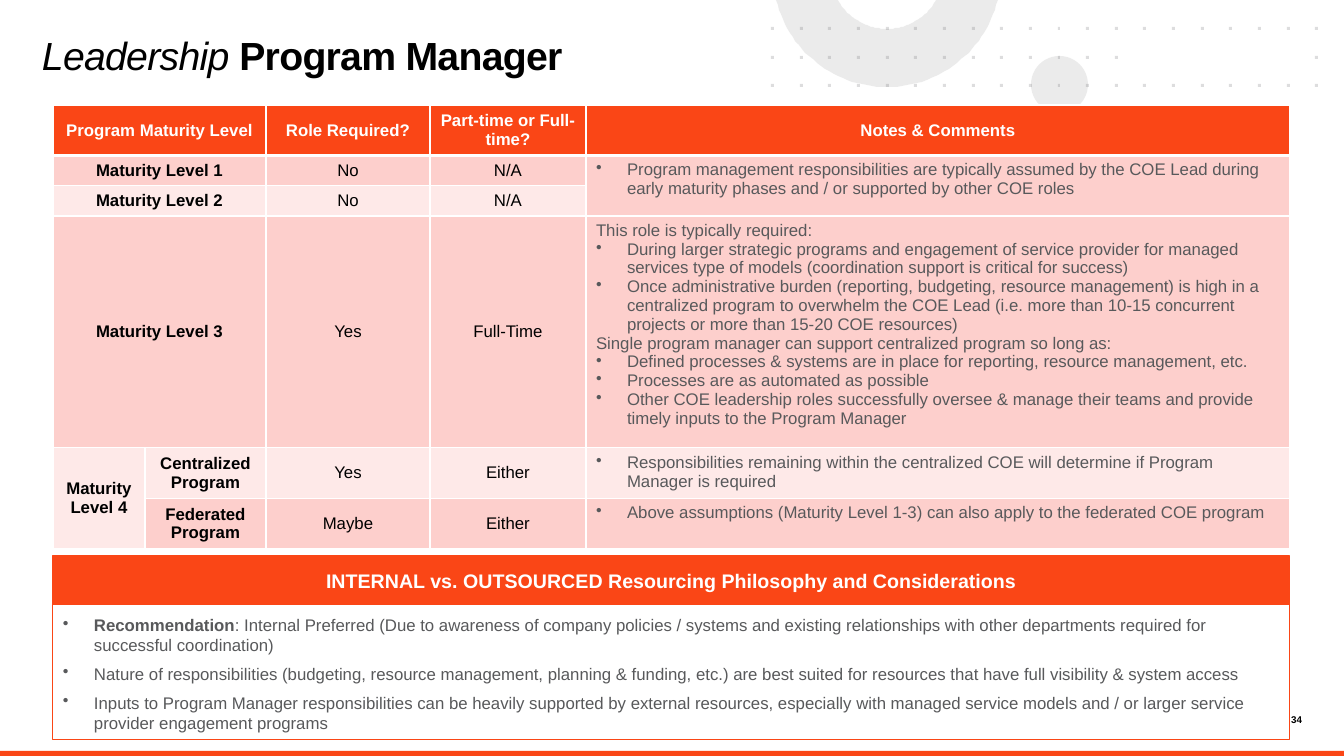
from math import acos, cos, pi, sin

from lxml.etree import SubElement
from pptx import Presentation
from pptx.dml.color import RGBColor
from pptx.enum.shapes import MSO_SHAPE
from pptx.enum.text import MSO_ANCHOR, PP_ALIGN
from pptx.oxml.ns import qn
from pptx.util import Emu, Pt

PX = 914400 / 100.8
ORANGE = RGBColor(0xFA, 0x46, 0x16)
ROSE = RGBColor(0xFD, 0xCF, 0xCC)
PALE_ROSE = RGBColor(0xFE, 0xE9, 0xE8)
WHITE = RGBColor(0xFF, 0xFF, 0xFF)
BLACK = RGBColor(0, 0, 0)
GRAY = RGBColor(0x58, 0x59, 0x5B)
LIGHT_GRAY = RGBColor(0xD9, 0xD9, 0xD9)

COLUMNS = [92, 121, 164, 156, 704]
ROWS = [47, 28, 29, 217, 48, 48]
ROW_FILLS = [ORANGE, ROSE, PALE_ROSE, ROSE, PALE_ROSE, ROSE]
MERGES = [((0, 0), (0, 1)), ((1, 0), (1, 1)), ((2, 0), (2, 1)), ((3, 0), (3, 1)),
          ((4, 0), (5, 0)), ((1, 4), (2, 4))]
LABELS = [
    ["Program Maturity Level", "", "Role Required?", "Part-time or Full-time?", "Notes & Comments"],
    ["Maturity Level 1", "", "No", "N/A"],
    ["Maturity Level 2", "", "No", "N/A"],
    ["Maturity Level 3", "", "Yes", "Full-Time"],
    ["Maturity Level 4", "Centralized Program", "Yes", "Either"],
    ["", "Federated Program", "Maybe", "Either"],
]
# A leading "• " marks a bulleted paragraph.
NOTES = {
    1: ["• Program management responsibilities are typically assumed by the COE Lead during early "
        "maturity phases and / or supported by other COE roles"],
    3: ["This role is typically required:",
        "• During larger strategic programs and engagement of service provider for managed services "
        "type of models (coordination support is critical for success)",
        "• Once administrative burden (reporting, budgeting, resource management) is high in a "
        "centralized program to overwhelm the COE Lead (i.e. more than 10-15 concurrent projects "
        "or more than 15-20 COE resources)",
        "Single program manager can support centralized program so long as:",
        "• Defined processes & systems are in place for reporting, resource management, etc.",
        "• Processes are as automated as possible",
        "• Other COE leadership roles successfully oversee & manage their teams and provide timely "
        "inputs to the Program Manager"],
    4: ["• Responsibilities remaining within the centralized COE will determine if Program Manager "
        "is required"],
    5: ["• Above assumptions (Maturity Level 1-3) can also apply to the federated COE program"],
}
CONSIDERATIONS = [
    ("Recommendation", ": Internal Preferred (Due to awareness of company policies / systems and "
     "existing relationships with other departments required for successful coordination)"),
    ("", "Nature of responsibilities (budgeting, resource management, planning & funding, etc.) are "
     "best suited for resources that have full visibility & system access"),
    ("", "Inputs to Program Manager responsibilities can be heavily supported by external resources, "
     "especially with managed service models and / or larger service provider engagement programs"),
]


def px(length):
    return Emu(round(length * PX))


def style_font(font, size, color, bold=False, italic=False):
    font.name, font.size, font.bold, font.italic = "Arial", Pt(size), bold, italic
    font.color.rgb = color


def add_bullet(paragraph):
    properties = paragraph._p.get_or_add_pPr()
    properties.set("marL", str(px(31)))
    properties.set("indent", str(-px(31)))
    SubElement(properties, qn("a:buChar")).set("char", "•")


def fill_shape(shape, color, opacity=100, line=None):
    shape.shadow.inherit = False
    shape.fill.solid()
    shape.fill.fore_color.rgb = color
    if opacity < 100:
        color_element = shape.fill._xPr.find(".//" + qn("a:srgbClr"))
        SubElement(color_element, qn("a:alpha")).set("val", str(opacity * 1000))
    if line is None:
        shape.line.fill.background()
    else:
        shape.line.color.rgb = line
        shape.line.width = Pt(0.75)


def add_block(slide, kind, left, top, width, height, color, opacity=100, line=None):
    shape = slide.shapes.add_shape(kind, px(left), px(top), px(width), px(height))
    fill_shape(shape, color, opacity, line)
    return shape


def set_insets(text_frame, inset):
    text_frame.word_wrap = True
    text_frame.margin_left = text_frame.margin_right = px(inset)
    text_frame.margin_top = text_frame.margin_bottom = px(inset)


def add_text(slide, left, top, width, height):
    text_frame = slide.shapes.add_textbox(px(left), px(top), px(width), px(height)).text_frame
    set_insets(text_frame, 0)
    return text_frame.paragraphs[0]


def add_outline(slide, contours, color, opacity):
    builder = slide.shapes.build_freeform(*contours[0][0], scale=PX)
    for index, points in enumerate(contours):
        if index:
            builder.move_to(*points[0])
        builder.add_line_segments(points[1:], close=True)
    fill_shape(builder.convert_to_shape(), color, opacity)


def arc_below_top(center_x, center_y, radius, steps=60):
    """Points of a circle's part below the slide's top edge, from right to left."""
    start = pi / 2 - acos(-center_y / radius)
    end = pi / 2 + acos(-center_y / radius)
    angles = [start + (end - start) * step / steps for step in range(steps + 1)]
    return [(center_x + radius * cos(a), center_y + radius * sin(a)) for a in angles]


def add_decoration(slide, left, top):
    add_block(slide, MSO_SHAPE.OVAL, left + 260, top + 56, 57, 57, LIGHT_GRAY, 50)
    outer = arc_below_top(left + 116, top - 27, 114)
    inner = arc_below_top(left + 116, top - 27, 56)
    add_outline(slide, [outer + inner[::-1]], LIGHT_GRAY, 50)
    dots = []
    for row in range(3):
        for column in range(20):
            if row == 1 and 13 <= column <= 18:
                continue
            x, y = left + 28.65 * column, top + 27 + 28.7 * row
            dots.append([(x, y), (x + 3, y), (x + 3, y + 3), (x, y + 3)])
    add_outline(slide, dots, GRAY, 20)


def add_title(slide, left, top, width, height):
    paragraph = add_text(slide, left, top, width, height)
    paragraph.line_spacing = 0.85
    for text, bold in (("Leadership ", False), ("Program Manager", True)):
        run = paragraph.add_run()
        run.text = text
        style_font(run.font, 28, BLACK, bold, italic=not bold)
        run.font._element.set("spc", "-50")


def add_footer(slide, left, top, width, height):
    add_block(slide, MSO_SHAPE.RECTANGLE, left, top, width, height, ORANGE)
    paragraph = add_text(slide, left + width - 81, top - 37, 39, 13)
    paragraph.text = "34"
    paragraph.alignment = PP_ALIGN.RIGHT
    style_font(paragraph.runs[0].font, 7, BLACK, bold=True)


def style_cell(cell, fill, is_header):
    properties = cell._tc.get_or_add_tcPr()
    for side in ("L", "R", "T", "B"):
        width = 3 if is_header and side == "B" else 1
        line = SubElement(properties, qn("a:ln" + side), w=str(Pt(width)))
        SubElement(SubElement(line, qn("a:solidFill")), qn("a:srgbClr")).set("val", str(WHITE))
    cell.fill.solid()
    cell.fill.fore_color.rgb = fill


def write_notes(cell, notes):
    cell.text_frame.text = "\n".join(note.removeprefix("• ") for note in notes)
    for note, paragraph in zip(notes, cell.text_frame.paragraphs):
        if note.startswith("• "):
            add_bullet(paragraph)
        style_font(paragraph.runs[0].font, 12, GRAY)


def add_maturity_table(slide, left, top):
    table = slide.shapes.add_table(len(ROWS), len(COLUMNS), px(left), px(top),
                                   px(sum(COLUMNS)), px(sum(ROWS))).table
    table.horz_banding = False
    for column, width in zip(table.columns, COLUMNS):
        column.width = px(width)
    for index, height in enumerate(ROWS):
        table.rows[index].height = px(height)
        for cell in table.rows[index].cells:
            style_cell(cell, ROW_FILLS[index], index == 0)
        for column, label in enumerate(LABELS[index]):
            if label:
                cell = table.cell(index, column)
                cell.text_frame.text = label
                cell.vertical_anchor = MSO_ANCHOR.MIDDLE
                paragraph = cell.text_frame.paragraphs[0]
                paragraph.alignment = PP_ALIGN.CENTER
                style_font(paragraph.runs[0].font, 12, BLACK if index else WHITE,
                           bold=index == 0 or column < 2)
    for row, notes in NOTES.items():
        write_notes(table.cell(row, 4), notes)
    for first, last in MERGES:
        table.cell(*first).merge(table.cell(*last))


def add_resourcing_panel(slide, left, top, width, height):
    header_height = 49
    body = add_block(slide, MSO_SHAPE.RECTANGLE, left, top + header_height, width,
                     height - header_height, WHITE, line=ORANGE).text_frame
    set_insets(body, 10)
    body.vertical_anchor = MSO_ANCHOR.TOP
    for index, parts in enumerate(CONSIDERATIONS):
        paragraph = body.add_paragraph() if index else body.paragraphs[0]
        paragraph.alignment = PP_ALIGN.LEFT
        paragraph.space_after = Pt(6)
        add_bullet(paragraph)
        for text, bold in zip(parts, (True, False)):
            if text:
                run = paragraph.add_run()
                run.text = text
                style_font(run.font, 12, GRAY, bold)
    header = add_block(slide, MSO_SHAPE.RECTANGLE, left, top, width, header_height,
                       ORANGE, line=ORANGE).text_frame
    set_insets(header, 10)
    header.vertical_anchor = MSO_ANCHOR.MIDDLE
    header.text = "INTERNAL vs. OUTSOURCED Resourcing Philosophy and Considerations"
    header.paragraphs[0].alignment = PP_ALIGN.CENTER
    style_font(header.paragraphs[0].runs[0].font, 14, WHITE, bold=True)


def main():
    presentation = Presentation()
    presentation.slide_width, presentation.slide_height = px(1344), px(756)
    slide = presentation.slides.add_slide(presentation.slide_layouts[6])
    add_footer(slide, 0, 751, 1344, 5)
    add_decoration(slide, 771, 0)
    add_title(slide, 42, 39, 729, 76)
    add_resourcing_panel(slide, 53, 556, 1237, 184)
    add_maturity_table(slide, 53, 105)
    presentation.save("out.pptx")


if __name__ == "__main__":
    main()
